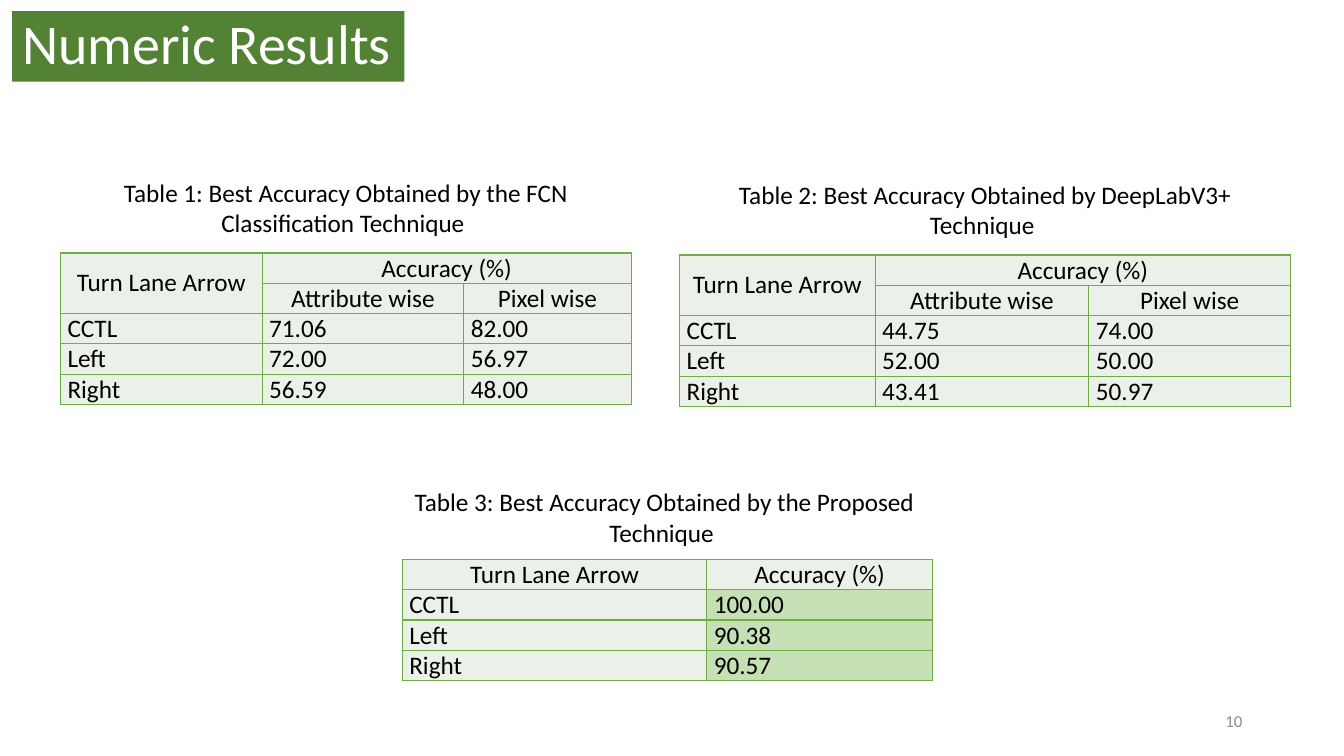
from lxml.etree import SubElement
from pptx import Presentation
from pptx.dml.color import RGBColor
from pptx.enum.text import MSO_ANCHOR, MSO_AUTO_SIZE, PP_ALIGN
from pptx.oxml.ns import qn
from pptx.util import Inches, Pt

HUES = {"title": "548235", "white": "FFFFFF", "black": "000000", "page": "8C8C8C",
        "line": "70AD47", "cell": "EBF1E9", "best": "C5E0B4"}


def write(frame, text, size=18, hue="black", align=PP_ALIGN.LEFT, space=1.0):
    frame.word_wrap = True
    para = frame.paragraphs[0]
    para.alignment = align
    para.line_spacing = space
    run = para.add_run()
    run.text = text
    run.font.size = Pt(size)
    run.font.name = "Calibri"
    run.font.color.rgb = RGBColor.from_string(HUES[hue])


def border(cell):
    props = cell._tc.get_or_add_tcPr()
    for side in ("a:lnL", "a:lnR", "a:lnT", "a:lnB"):
        line = SubElement(props, qn(side), w=str(Pt(1)))
        fill = SubElement(line, qn("a:solidFill"))
        SubElement(fill, qn("a:srgbClr"), val=HUES["line"])


deck = Presentation()
deck.slide_width, deck.slide_height = Inches(13.33), Inches(7.5)
slide = deck.slides.add_slide(deck.slide_layouts[5])

title = slide.shapes.title
title.left, title.top = Inches(0.12), Inches(0.11)
title.width, title.height = Inches(3.89), Inches(0.7)
title.fill.solid()
title.fill.fore_color.rgb = RGBColor.from_string(HUES["title"])
title.text_frame.auto_size = MSO_AUTO_SIZE.NONE
title.text_frame.vertical_anchor = MSO_ANCHOR.MIDDLE
write(title.text_frame, "Numeric Results", size=40, hue="white", space=0.9)

labels = [
    ("Table 1: Best Accuracy Obtained by the FCN Classification Technique ", 0.51, 1.71, 5.84),
    ("Table 2: Best Accuracy Obtained by DeepLabV3+ Technique ", 6.74, 1.73, 6.06),
    ("Table 3: Best Accuracy Obtained by the Proposed Technique ", 3.72, 4.78, 5.74),
]
for text, left, top, width in labels:
    box = slide.shapes.add_textbox(Inches(left), Inches(top), Inches(width), Inches(0.71))
    write(box.text_frame, text, align=PP_ALIGN.CENTER)

split = [["Turn Lane Arrow", "Accuracy (%)", ""], ["", "Attribute wise", "Pixel wise"]]
plain = [["Turn Lane Arrow", "Accuracy (%)"]]
tables = [
    (0.6, 2.51, [2, 2, 1.66], split,
     [["CCTL", "71.06", "82.00"], ["Left", "72.00", "56.97"], ["Right", "56.59", "48.00"]]),
    (6.74, 2.53, [1.94, 2.12, 2], split,
     [["CCTL", "44.75", "74.00"], ["Left", "52.00", "50.00"], ["Right", "43.41", "50.97"]]),
    (3.99, 5.55, [3.02, 2.24], plain,
     [["CCTL", "100.00"], ["Left", "90.38"], ["Right", "90.57"]]),
]
for left, top, widths, head, body in tables:
    rows = head + body
    grid = slide.shapes.add_table(len(rows), len(widths), Inches(left), Inches(top),
                                  Inches(sum(widths)), Inches(0.3 * len(rows))).table
    grid.first_row = grid.horz_banding = False
    for col, width in zip(grid.columns, widths):
        col.width = Inches(width)
    for r, row in enumerate(rows):
        for c, text in enumerate(row):
            cell = grid.cell(r, c)
            cell.margin_left = cell.margin_right = Inches(0.07)
            cell.margin_top = cell.margin_bottom = 0
            cell.vertical_anchor = MSO_ANCHOR.MIDDLE
            border(cell)
            best = head is plain and r > 0 and c > 0
            cell.fill.solid()
            cell.fill.fore_color.rgb = RGBColor.from_string(HUES["best" if best else "cell"])
            if text:
                write(cell.text_frame, text,
                      align=PP_ALIGN.CENTER if r < len(head) else PP_ALIGN.LEFT)
    if head is split:
        grid.cell(0, 0).merge(grid.cell(1, 0))
        grid.cell(0, 1).merge(grid.cell(0, 2))

page = slide.shapes.add_textbox(Inches(9.42), Inches(6.95), Inches(3), Inches(0.4))
page.text_frame.vertical_anchor = MSO_ANCHOR.MIDDLE
write(page.text_frame, "10", size=12, hue="page", align=PP_ALIGN.RIGHT)

deck.save("out.pptx")
